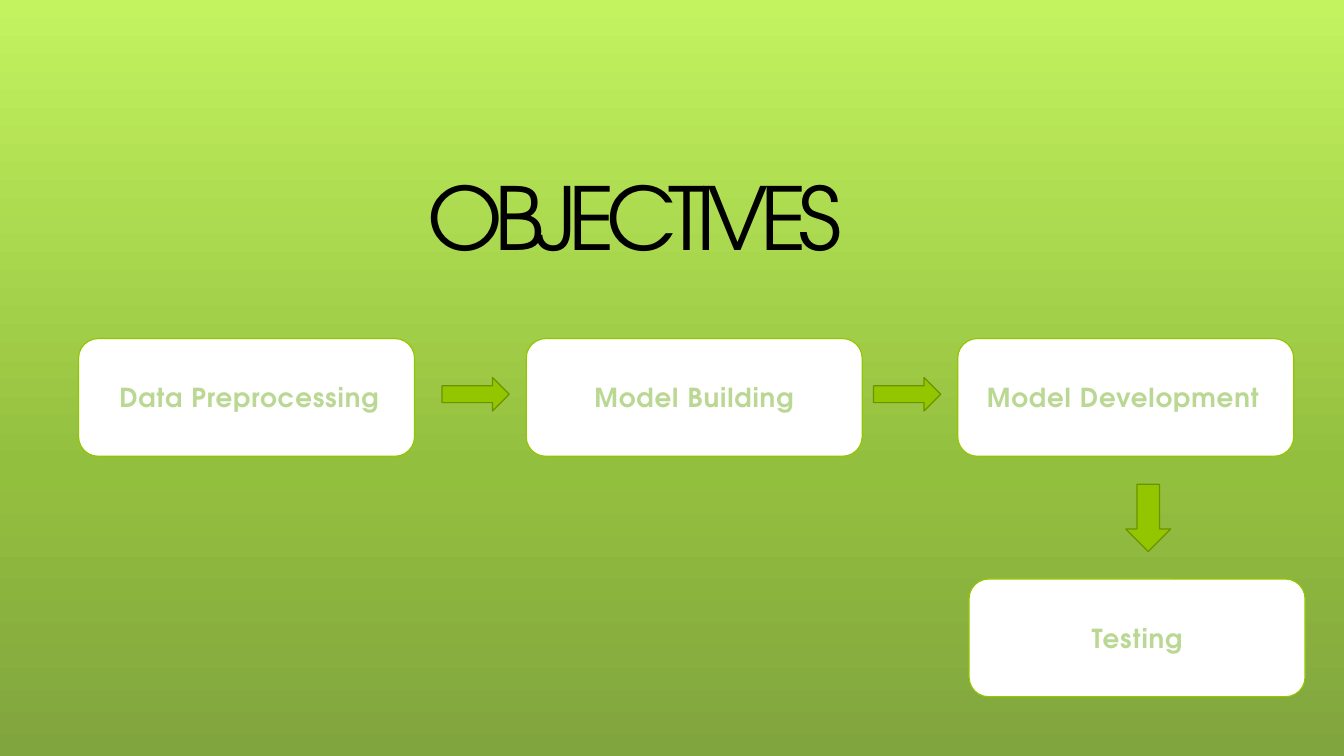
import copy
from dataclasses import dataclass

import pptx
import pptx.dml.color
import pptx.enum.shapes
import pptx.enum.text
import pptx.oxml
import pptx.oxml.ns
import pptx.util
from pptx.util import Cm

Kind = pptx.enum.shapes.MSO_SHAPE
Anchor = pptx.enum.text.MSO_ANCHOR
Align = pptx.enum.text.PP_ALIGN


@dataclass(frozen=True)
class Theme:
    font: str = "TeX Gyre Adventor"
    title_size: float = 93
    step_size: float = 28
    line_width: float = 1.25
    outline_width: float = 1.42
    black: str = "000000"
    white: str = "FFFFFF"
    green: str = "94C600"
    dark_green: str = "6D9200"
    pale_green: str = "BAD893"
    background: tuple = ((0, "C3F35F"), (0.62, "93BF3F"), (1, "81A53E"))


THEME = Theme()


def color(value):
    return pptx.dml.color.RGBColor.from_string(value)


def apply(target, values):
    for name, value in values.items():
        setattr(target, name, value)


def write_text(text_frame, text, size, text_color, frame_format, paragraph_format, bold=False, spacing=0):
    apply(text_frame, {"word_wrap": True, **frame_format})
    paragraph = text_frame.paragraphs[0]
    apply(paragraph, paragraph_format)
    run = paragraph.add_run()
    run.text = text
    apply(run.font, {"name": THEME.font, "size": pptx.util.Pt(size), "bold": bold})
    run.font.fill.solid()
    run.font.fill.fore_color.rgb = color(text_color)
    properties = run.font._element
    properties.set("spc", str(round(spacing * 100)))
    return properties


def outline_text(properties):
    width = pptx.util.Pt(THEME.outline_width)
    outline = pptx.oxml.parse_xml(
        f'<a:ln {pptx.oxml.ns.nsdecls("a")} w="{width}"><a:solidFill>'
        f'<a:srgbClr val="{THEME.pale_green}"/></a:solidFill></a:ln>'
    )
    properties.insert(0, outline)
    fill_color = properties.find(pptx.oxml.ns.qn("a:solidFill"))[0]
    fill_color.append(pptx.oxml.parse_xml(f'<a:alpha {pptx.oxml.ns.nsdecls("a")} val="6000"/>'))


def add_block(slide, kind, box, fill, line):
    shape = slide.shapes.add_shape(kind, *(Cm(length) for length in box))
    shape.shadow.inherit = False
    shape.fill.solid()
    shape.fill.fore_color.rgb = color(fill)
    shape.line.color.rgb = color(line)
    shape.line.width = pptx.util.Pt(THEME.line_width)
    return shape


def paint_background(slide):
    fill = slide.background.fill
    fill.gradient()
    fill.gradient_angle = 270
    stop_list = slide.element.find(".//" + pptx.oxml.ns.qn("a:gsLst"))
    stop_list.insert(1, copy.deepcopy(stop_list[0]))
    for stop, (position, value) in zip(fill.gradient_stops, THEME.background):
        stop.position = position
        stop.color.rgb = color(value)


def add_title(slide, box, text, indent):
    text_box = slide.shapes.add_textbox(*(Cm(length) for length in box))
    frame_format = {
        "vertical_anchor": Anchor.BOTTOM,
        "margin_left": 0,
        "margin_top": Cm(0.03),
        "margin_right": 0,
        "margin_bottom": 0,
    }
    properties = write_text(
        text_box.text_frame, text, THEME.title_size, THEME.black,
        frame_format, {"alignment": Align.LEFT}, spacing=-9.2,
    )
    properties.getparent().getparent().get_or_add_pPr().set("marL", str(Cm(indent)))


def add_step(slide, box, text, extra_left=0, extra_right=0):
    shape = add_block(slide, Kind.ROUNDED_RECTANGLE, box, THEME.white, THEME.green)
    frame_format = {
        "vertical_anchor": Anchor.MIDDLE,
        "margin_left": Cm(0.25 + extra_left),
        "margin_right": Cm(0.25 + extra_right),
    }
    properties = write_text(
        shape.text_frame, text, THEME.step_size, THEME.green,
        frame_format, {"alignment": Align.CENTER}, bold=True, spacing=1,
    )
    outline_text(properties)


def add_flow(slide, box):
    left, top, step_width, step_height = box
    steps = (
        ("Data Preprocessing", 0, 0, 0.2, 0),
        ("Model Building", 16.92, 0, 0, 0),
        ("Model Development", 33.23, 0, 0, 0.2),
        ("Testing", 33.66, 9.09, 0, 0),
    )
    for text, x, y, extra_left, extra_right in steps:
        add_step(slide, (left + x, top + y, step_width, step_height), text, extra_left, extra_right)

    arrow_length, arrow_lead = 2.54, 3.18
    arrows = [
        (Kind.RIGHT_ARROW, x - arrow_lead, 1.47, arrow_length, 1.27)
        for _, x, *_ in steps[1:3]
    ]
    arrows.append((Kind.DOWN_ARROW, 39.58, 5.51, 1.7, arrow_length))
    for kind, x, y, width, height in arrows:
        add_block(slide, kind, (left + x, top + y, width, height), THEME.green, THEME.dark_green)


def main():
    presentation = pptx.Presentation()
    apply(presentation, {"slide_width": Cm(50.8), "slide_height": Cm(28.58)})
    slide = presentation.slides.add_slide(presentation.slide_layouts[6])
    paint_background(slide)
    add_title(slide, (4.85, 6.1, 32.84, 4.01), "OBJECTIVES", indent=11.3)
    add_flow(slide, (2.97, 12.8, 12.7, 4.45))
    presentation.save("out.pptx")


if __name__ == "__main__":
    main()
